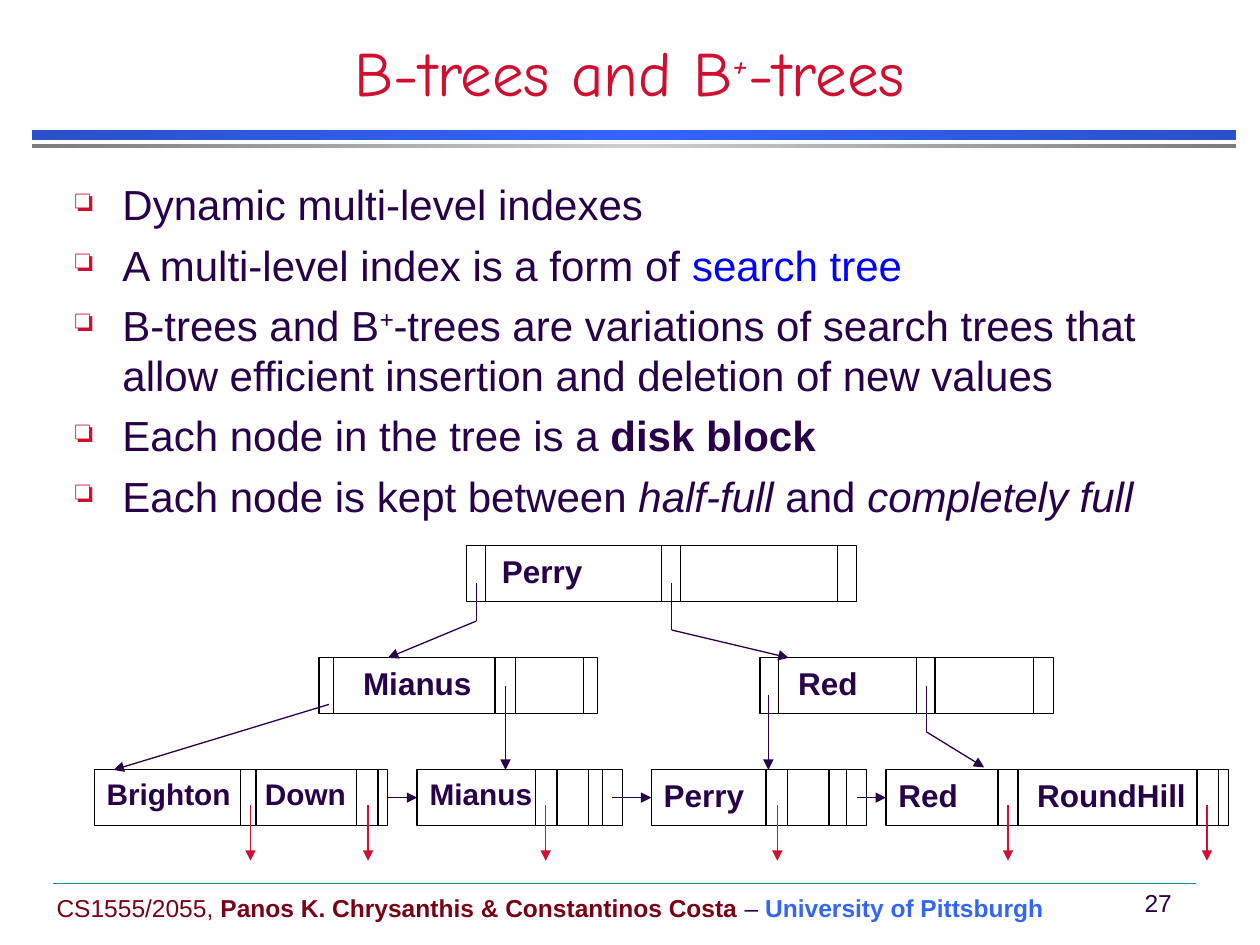
from lxml.etree import SubElement
from pptx import Presentation
from pptx.dml.color import RGBColor
from pptx.enum.shapes import MSO_CONNECTOR as Connector, MSO_SHAPE as Preset
from pptx.enum.text import MSO_ANCHOR as Anchor, MSO_AUTO_SIZE as AutoSize, PP_ALIGN as Align
from pptx.oxml import parse_xml
from pptx.oxml.ns import nsdecls, qn
from pptx.util import Cm, Pt

COLORS = {
    "text": "280049", "red": "CF0E30", "blue": "0000FF", "maroon": "790015",
    "accent": "3365FB", "accent_dark": "2951C9", "gray": "7C7C7C",
    "gray_light": "CECECE", "rule": "009688", "black": "000000", "white": "FFFFFF",
}

# Each run is (text, styles); styles are words or a colour name.
TITLE = [("B-trees and B", ""), ("+", "italic super"), ("-trees", "")]
BULLETS = [
    [("Dynamic multi-level indexes", "")],
    [("A multi-level index is a form of ", ""), ("search tree", "blue")],
    [("B-trees and B", ""), ("+", "italic super"),
     ("-trees are variations of search trees that allow efficient insertion "
      "and deletion of new values", "")],
    [("Each node in the tree is a ", ""), ("disk block", "bold")],
    [("Each node is kept between ", ""), ("half-full", "italic"),
     (" and ", ""), ("completely full", "italic")],
]
FOOTER = [
    ("CS1555/2055, ", "maroon"),
    ("Panos K. Chrysanthis & Constantinos Costa", "maroon bold"),
    (" – ", ""),
    ("University of Pittsburgh", "accent bold"),
]
PAGE_NUMBER = [("27", "")]

# Bands under the title: top, height, edge colour, middle colour
BANDS = [(2.62, 0.2, "accent_dark", "accent"), (2.9, 0.08, "gray", "gray_light")]

# Tree nodes: level, left, width, label, size, label inset, label tab, dividers
NODES = [
    (0, 9.4, 7.87, "Perry", 18, 0.72, None, (9.78, 13.34, 13.72, 16.89)),
    (1, 6.43, 5.61, "Mianus", 18, 0.89, None, (6.73, 9.98, 10.39, 11.76)),
    (1, 15.32, 5.92, "Red", 18, 0.77, None, (15.7, 18.47, 18.85, 20.83)),
    (2, 1.9, 5.92, "Brighton\tDown", 17, 0.25, 3.19, (4.85, 5.16, 7.19, 7.62)),
    (2, 8.41, 4.14, "Mianus", 17, 0.25, None, (10.8, 11.23, 11.86, 12.14)),
    (2, 13.13, 4.34, "Perry", 18, 0.25, None, (15.44, 15.88, 16.71, 17.07)),
    (2, 17.86, 6.91, "Red\tRoundHill", 18, 0.25, 2.8, (20.12, 20.52, 24.13, 24.56)),
]
TREE_TOP, LEVEL_PITCH, NODE_HEIGHT = 11, 2.26, 1.13

CHILD_POINTERS = [
    [(9.6, 11.76), (9.6, 12.52), (7.82, 13.26)],
    [(13.54, 11.76), (13.54, 12.7), (15.9, 13.26)],
    [(6.63, 14.2), (2.29, 15.52)],
    [(10.19, 13.82), (10.19, 15.52)],
    [(15.49, 14.02), (15.49, 15.52)],
    [(18.67, 13.82), (18.67, 14.75), (19.84, 15.47)],
]
SIBLING_LINKS = [(7.82, 8.41), (12.34, 13.13), (17.27, 17.86)]
SIBLING_Y = 16.08
RECORD_POINTERS = [5.05, 7.42, 11, 15.67, 20.32, 24.33]
RECORD_TOP, RECORD_BOTTOM = 16.23, 17.35


def color(name):
    return RGBColor.from_string(COLORS[name])


def write(paragraph, runs, size, color_name="text", font_name="Arial", bold=None):
    font = paragraph.font
    font.name, font.size, font.bold = font_name, Pt(size), bold
    font.color.rgb = color(color_name)
    for text, styles in runs:
        run = paragraph.add_run()
        run.text = text
        for style in styles.split():
            if style == "super":
                run._r.get_or_add_rPr().set("baseline", "30000")
            elif style in COLORS:
                run.font.color.rgb = color(style)
            else:
                setattr(run.font, style, True)


def add_text_box(slide, left, top, width, height, anchor=Anchor.MIDDLE):
    frame = slide.shapes.add_textbox(Cm(left), Cm(top), Cm(width), Cm(height)).text_frame
    frame.word_wrap = True
    frame.vertical_anchor = anchor
    return frame


def add_line(slide, start, end, color_name, width=0.75, arrow=False):
    line = slide.shapes.add_connector(Connector.STRAIGHT, *map(Cm, start + end))
    line.line.color.rgb = color(color_name)
    line.line.width = Pt(width)
    if arrow:
        SubElement(line.line._get_or_add_ln(), qn("a:tailEnd"), type="triangle")
    SubElement(line._element.spPr, qn("a:effectLst"))


def add_pointer(slide, points, color_name="text"):
    """Draw a bent line whose last segment carries the arrowhead."""
    for index, (start, end) in enumerate(zip(points, points[1:])):
        add_line(slide, start, end, color_name, arrow=index == len(points) - 2)


def add_rectangle(slide, left, top, width, height):
    shape = slide.shapes.add_shape(Preset.RECTANGLE, Cm(left), Cm(top), Cm(width), Cm(height))
    shape.shadow.inherit = False
    return shape


def add_band(slide, top, height, edge, middle):
    band = add_rectangle(slide, 0.64, top, 24.28, height)
    stops = "".join(
        f'<a:gs pos="{position}"><a:srgbClr val="{COLORS[name]}"/></a:gs>'
        for position, name in [(0, edge), (50000, middle), (100000, edge)])
    band._element.spPr.insert(2, parse_xml(
        f'<a:gradFill {nsdecls("a")} rotWithShape="1"><a:gsLst>{stops}</a:gsLst>'
        '<a:lin ang="0" scaled="1"/></a:gradFill>'))
    band.line.fill.background()


def add_node(slide, level, left, width, label, size, inset, tab, dividers):
    top = TREE_TOP + level * LEVEL_PITCH
    node = add_rectangle(slide, left, top, width, NODE_HEIGHT)
    node.fill.solid()
    node.fill.fore_color.rgb = color("white")
    node.line.color.rgb = color("black")
    node.line.width = Pt(0.75)
    frame = node.text_frame
    frame.vertical_anchor = Anchor.TOP
    frame.margin_left = Cm(inset)
    paragraph = frame.paragraphs[0]
    paragraph.alignment = Align.LEFT
    if tab:
        tabs = SubElement(paragraph._p.get_or_add_pPr(), qn("a:tabLst"))
        SubElement(tabs, qn("a:tab"), pos=str(Cm(tab)), algn="l")
    write(paragraph, [(label, "")], size, bold=True)
    for x in dividers:
        add_line(slide, (x, top), (x, top + NODE_HEIGHT), "black")


def add_bullets(slide):
    frame = add_text_box(slide, 1.27, 3.48, 23.5, 7.5, Anchor.TOP)
    for index, runs in enumerate(BULLETS):
        paragraph = frame.add_paragraph() if index else frame.paragraphs[0]
        if index:
            paragraph.space_before = Pt(5.6)
        properties = paragraph._p.get_or_add_pPr()
        properties.set("marL", str(Cm(0.95)))
        properties.set("indent", str(-Cm(0.95)))
        bullet_color = SubElement(properties, qn("a:buClr"))
        SubElement(bullet_color, qn("a:srgbClr"), val=COLORS["red"])
        SubElement(properties, qn("a:buSzPct"), val="75000")
        SubElement(properties, qn("a:buChar"), char="❏")
        write(paragraph, runs, 24)


def add_title(slide):
    title = slide.shapes.title
    title.left, title.top, title.width, title.height = Cm(1.9), Cm(0.43), Cm(21.59), Cm(1.9)
    frame = title.text_frame
    frame.auto_size = AutoSize.NONE
    frame.vertical_anchor = Anchor.BOTTOM
    frame.paragraphs[0].alignment = Align.CENTER
    write(frame.paragraphs[0], TITLE, 36, "red", "Comic Neue")


def main():
    presentation = Presentation()
    presentation.slide_width, presentation.slide_height = Cm(25.4), Cm(19.05)
    slide = presentation.slides.add_slide(presentation.slide_layouts[5])
    add_title(slide)
    for band in BANDS:
        add_band(slide, *band)
    add_line(slide, (1.07, 17.81), (24.1, 17.81), "rule", 0.25)
    write(add_text_box(slide, 0.89, 17.78, 21.59, 1.02).paragraphs[0], FOOTER, 14)
    number = add_text_box(slide, 22.73, 17.78, 1.24, 0.84).paragraphs[0]
    number.alignment = Align.CENTER
    write(number, PAGE_NUMBER, 14)
    add_bullets(slide)
    for node in NODES:
        add_node(slide, *node)
    for points in CHILD_POINTERS:
        add_pointer(slide, points)
    for start, end in SIBLING_LINKS:
        add_pointer(slide, [(start, SIBLING_Y), (end, SIBLING_Y)])
    for x in RECORD_POINTERS:
        add_pointer(slide, [(x, RECORD_TOP), (x, RECORD_BOTTOM)], "red")
    presentation.save("out.pptx")


if __name__ == "__main__":
    main()
